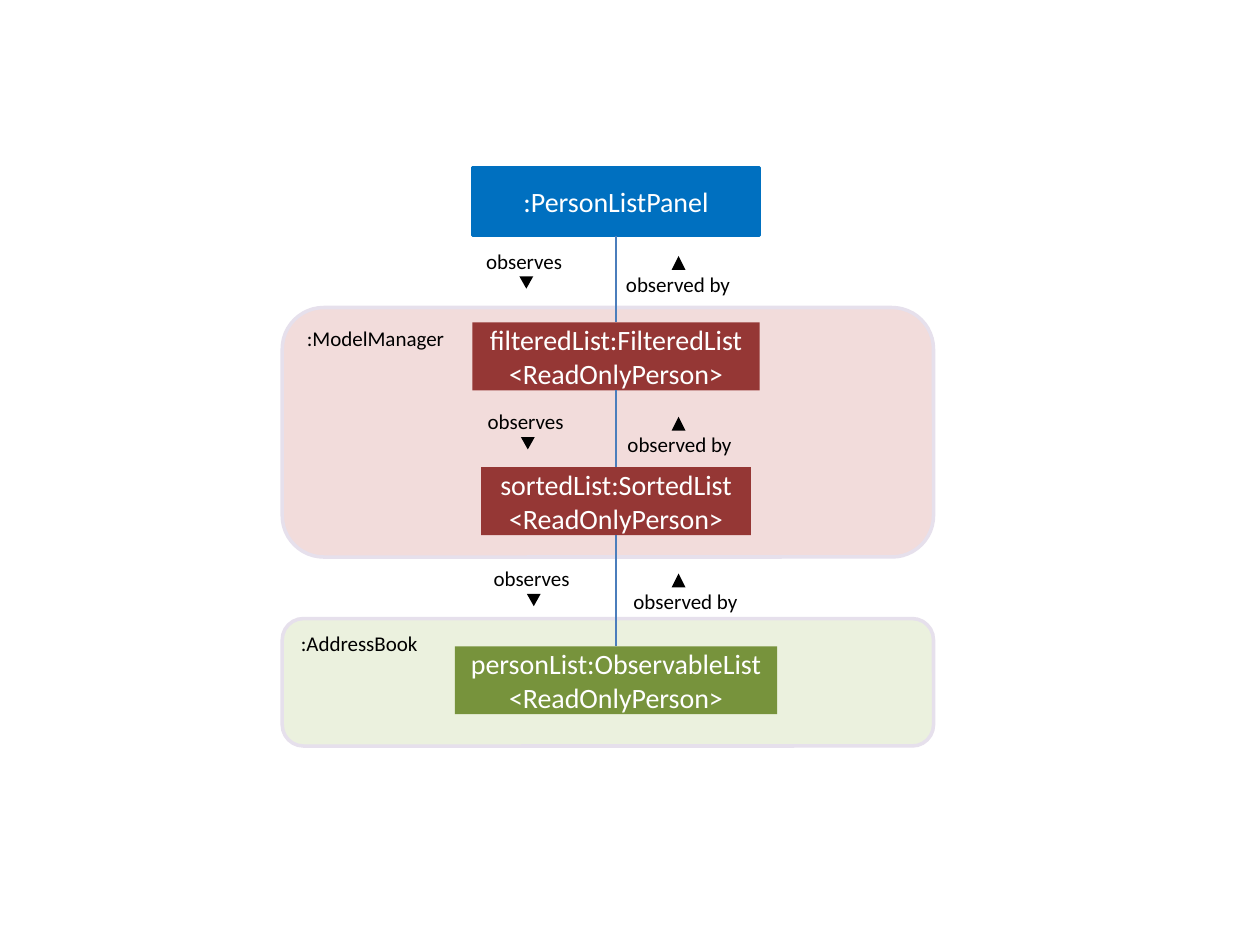
from dataclasses import dataclass

import pptx
import pptx.util
from lxml import etree
from pptx.dml.color import RGBColor
from pptx.enum.shapes import MSO_CONNECTOR, MSO_SHAPE
from pptx.enum.text import MSO_ANCHOR, MSO_AUTO_SIZE, PP_ALIGN
from pptx.oxml.ns import qn

Cm, Pt = pptx.util.Cm, pptx.util.Pt


@dataclass(frozen=True)
class Theme:
    font: str = "Calibri"
    node_size: int = 16
    label_size: int = 12
    white: str = "FFFFFF"
    black: str = "000000"
    blue: str = "0070C0"
    red: str = "953735"
    green: str = "77933C"
    pale_red: str = "F2DCDB"
    pale_green: str = "EBF1DE"
    border: str = "E6E0EC"
    link: str = "4B7EBC"


THEME = Theme()
AXIS = 12.42  # centre line of the object chain, in cm
NODE_H = 1.37


def write(sp, text, size, color, align=PP_ALIGN.LEFT, anchor=MSO_ANCHOR.TOP):
    tf = sp.text_frame
    tf.text = text
    tf.vertical_anchor = anchor
    p = tf.paragraphs[0]
    p.alignment = align
    r = p.runs[0]
    r.font.name = THEME.font
    r.font.size = Pt(size)
    r.font.color.rgb = RGBColor.from_string(color)


def add_block(s, kind, x, y, w, h, fill, line=None, line_width=0):
    sp = s.shapes.add_shape(kind, Cm(x), Cm(y), Cm(w), Cm(h))
    sp.shadow.inherit = False
    sp.fill.solid()
    sp.fill.fore_color.rgb = RGBColor.from_string(fill)
    if line:
        sp.line.color.rgb = RGBColor.from_string(line)
        sp.line.width = Pt(line_width)
    else:
        sp.line.fill.background()
    return sp


def add_container(s, text, y, h, fill):
    sp = add_block(s, MSO_SHAPE.ROUNDED_RECTANGLE, 5.69, y, 13.13, h,
                   fill, THEME.border, 2)
    write(sp, text, THEME.label_size, THEME.black)


def add_node(s, text, y, w, fill, line=None):
    sp = add_block(s, MSO_SHAPE.RECTANGLE, AXIS - w / 2, y, w, NODE_H,
                   fill, line, 1.5)
    write(sp, text, THEME.node_size, THEME.white,
          PP_ALIGN.CENTER, MSO_ANCHOR.MIDDLE)


def add_link(s, y1, y2):
    c = s.shapes.add_connector(MSO_CONNECTOR.STRAIGHT,
                               Cm(AXIS), Cm(y1), Cm(AXIS), Cm(y2))
    c.line.color.rgb = RGBColor.from_string(THEME.link)
    c.line.width = Pt(0.75)
    etree.SubElement(c._element.spPr, qn("a:effectLst"))


def add_label(s, text, x, y, w):
    sp = s.shapes.add_textbox(Cm(x), Cm(y), Cm(w), Cm(0.77))
    sp.text_frame.word_wrap = False
    sp.text_frame.auto_size = MSO_AUTO_SIZE.SHAPE_TO_FIT_TEXT
    write(sp, text, THEME.label_size, THEME.black)


def add_marker(s, x, y, h, rotation=0):
    sp = add_block(s, MSO_SHAPE.ISOSCELES_TRIANGLE, x, y, 0.28, h, THEME.black)
    sp.rotation = rotation


def add_relation(s, x, y):
    """Both reading directions of one link; x, y place the left label."""
    add_label(s, "observes", x, y, 2.06)
    add_marker(s, x + 0.92, y + 0.69, 0.25, 180)
    add_marker(s, 13.54, y + 0.28, 0.28)
    add_label(s, "observed by", x + 2.82, y + 0.46, 2.64)


def main():
    prs = pptx.Presentation()
    prs.slide_width, prs.slide_height = Cm(25.4), Cm(19.05)
    s = prs.slides.add_slide(prs.slide_layouts[6])

    # Owning objects
    add_container(s, ":AddressBook", 12.47, 2.57, THEME.pale_green)
    add_container(s, ":ModelManager", 6.2, 5.03, THEME.pale_red)

    # Chain of lists: text, top, width, fill, line
    nodes = [
        (":PersonListPanel", 3.38, 5.79, THEME.blue, THEME.blue),
        ("filteredList:FilteredList<ReadOnlyPerson>", 6.5, 5.79, THEME.red, None),
        ("sortedList:SortedList<ReadOnlyPerson>", 9.42, 5.44, THEME.red, None),
        ("personList:ObservableList<ReadOnlyPerson>", 13.03, 6.5, THEME.green, None),
    ]
    for node in nodes:
        add_node(s, *node)

    # Links between neighbours
    for upper, lower in zip(nodes, nodes[1:]):
        add_link(s, upper[1] + NODE_H, lower[1])

    # Relation labels
    for x, y in [(9.55, 4.88), (9.58, 8.12), (9.7, 11.28)]:
        add_relation(s, x, y)

    prs.save("out.pptx")


if __name__ == "__main__":
    main()
